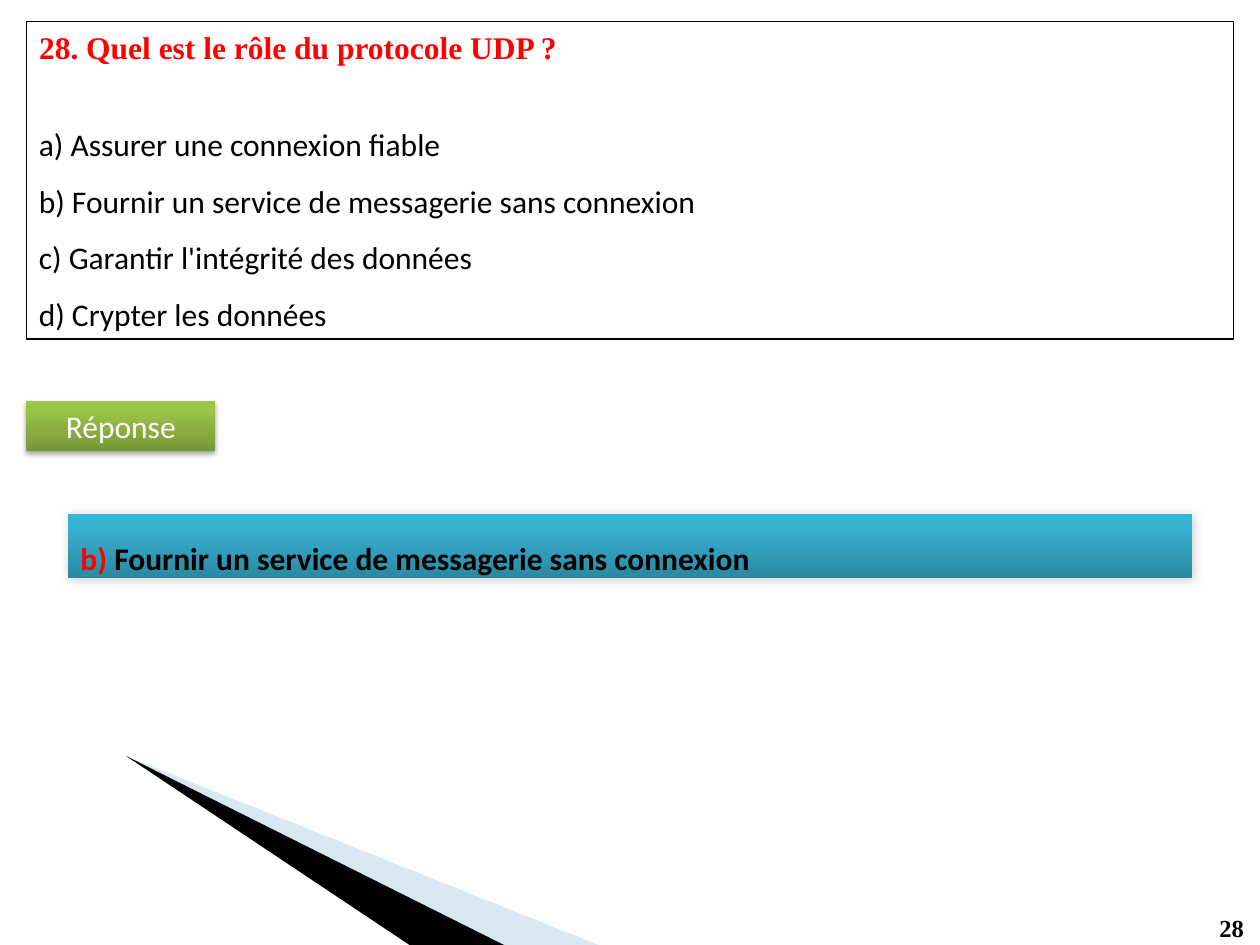
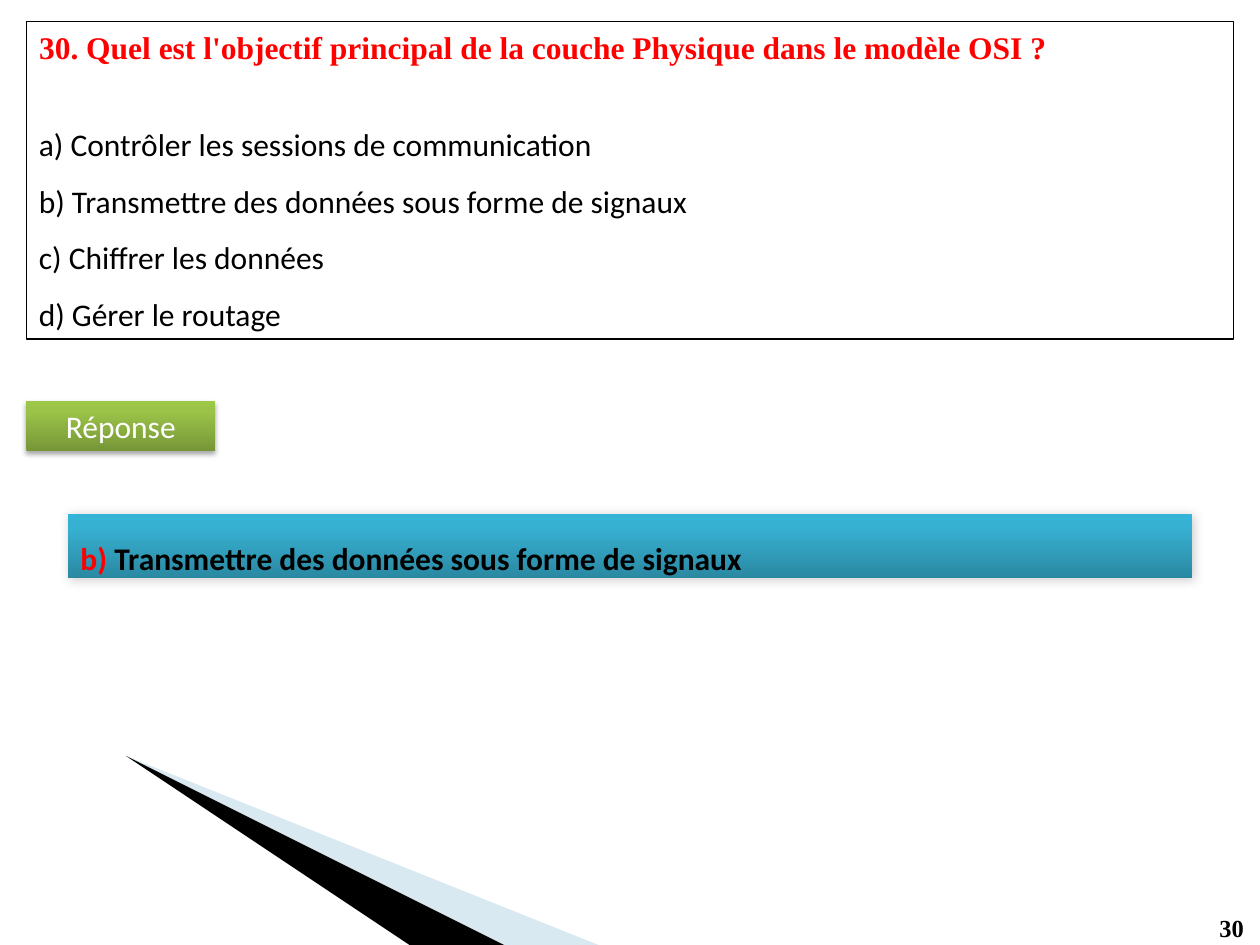
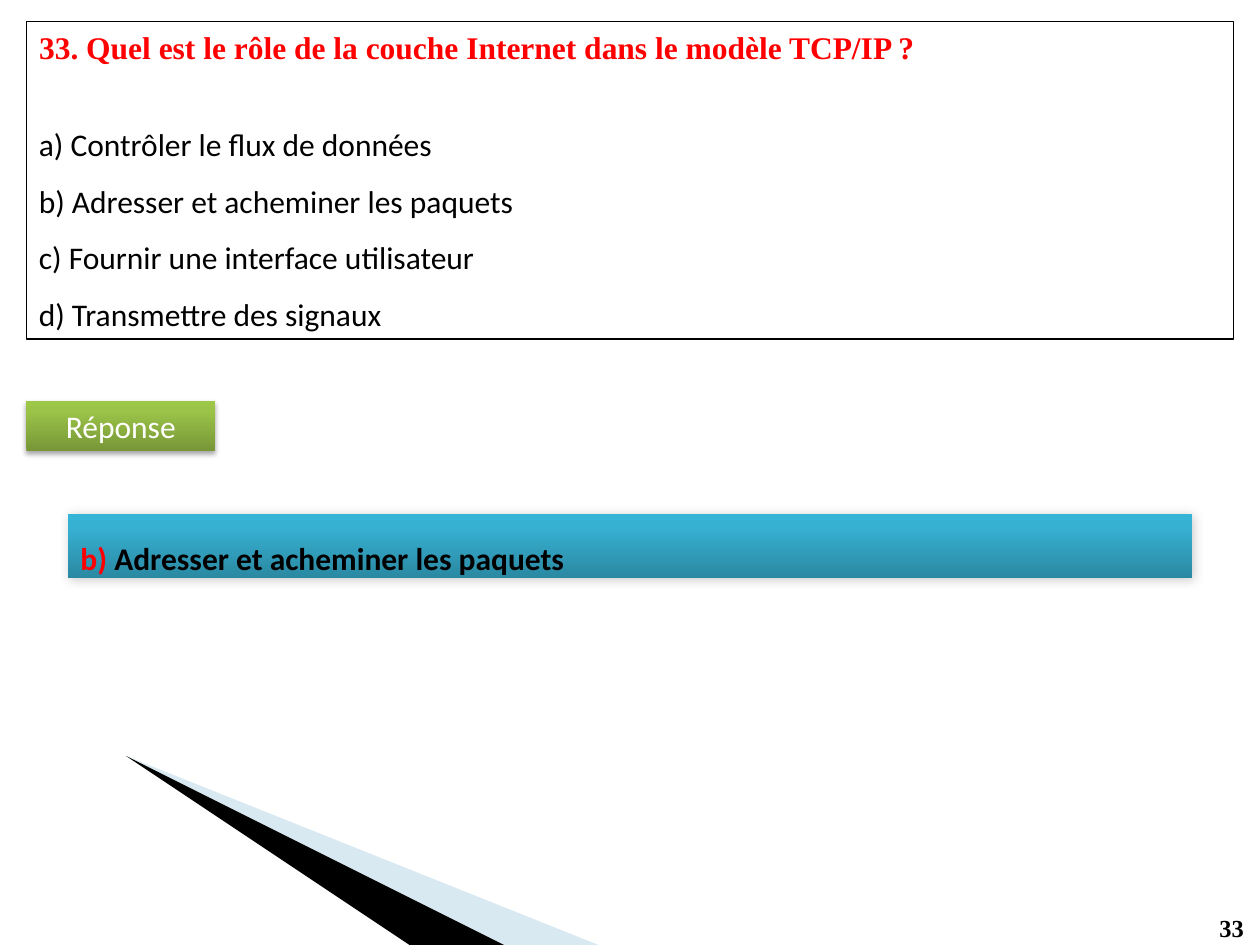
"""Build three quiz slides on network protocols, each with its answer."""
from pptx import Presentation
from pptx.dml.color import RGBColor
from pptx.enum.shapes import MSO_SHAPE as Shape
from pptx.enum.text import MSO_ANCHOR as Anchor, MSO_AUTO_SIZE as AutoSize, PP_ALIGN as Align
from pptx.oxml import parse_xml
from pptx.oxml.ns import nsdecls
from pptx.util import Inches, Pt

RED, BLACK, WHITE, PALE_BLUE = "FF0000", "000000", "FFFFFF", "9FCADC"
BODY_FONT, TITLE_FONT = "Calibri", "Times New Roman"
GREEN_STOPS = [(0, "779737"), (80, "9BC348"), (100, "9DC746")]
BLUE_STOPS = [(0, "2A88A2"), (80, "37B1D2"), (100, "34B4D6")]
LETTERS = "abcd"
CORRECT = 1
QUESTIONS = [
    (28, "Quel est le rôle du protocole UDP ?",
     ["Assurer une connexion fiable", "Fournir un service de messagerie sans connexion",
      "Garantir l'intégrité des données", "Crypter les données"]),
    (30, "Quel est l'objectif principal de la couche Physique dans le modèle OSI ?",
     ["Contrôler les sessions de communication", "Transmettre des données sous forme de signaux",
      "Chiffrer les données", "Gérer le routage"]),
    (33, "Quel est le rôle de la couche Internet dans le modèle TCP/IP ?",
     ["Contrôler le flux de données", "Adresser et acheminer les paquets",
      "Fournir une interface utilisateur", "Transmettre des signaux"]),
]


def add_run(paragraph, text, color, font=BODY_FONT, size=18, bold=False):
    run = paragraph.add_run()
    run.text = text
    run.font.name, run.font.size, run.font.bold = font, Pt(size), bold
    run.font.color.rgb = RGBColor.from_string(color)


def add_band(slide, box, stops, opacity, blur, distance, angle):
    band = slide.shapes.add_shape(Shape.RECTANGLE, *map(Inches, box))
    band.line.fill.background()
    band.shadow.inherit = False
    properties = band.element.spPr
    stop_xml = "".join(f'<a:gs pos="{share * 1000}"><a:srgbClr val="{color}"/></a:gs>'
                       for share, color in stops)
    properties.insert(2, parse_xml(
        f'<a:gradFill {nsdecls("a")} rotWithShape="1"><a:gsLst>{stop_xml}</a:gsLst>'
        '<a:lin ang="16200000" scaled="0"/></a:gradFill>'))
    properties[-1].append(parse_xml(
        f'<a:outerShdw {nsdecls("a")} blurRad="{Pt(blur)}" dist="{Pt(distance)}" '
        f'dir="{angle * 60000}" rotWithShape="0"><a:srgbClr val="{BLACK}">'
        f'<a:alpha val="{opacity * 1000}"/></a:srgbClr></a:outerShdw>'))
    band.text_frame.vertical_anchor = Anchor.TOP
    return band.text_frame.paragraphs[0]


presentation = Presentation()
presentation.slide_width, presentation.slide_height = Inches(10), Inches(7.5)
layout = presentation.slide_layouts[5]
margin, frame_top, frame_width = 0.21, 0.17, 9.58

for number, question, options in QUESTIONS:
    slide = presentation.slides.add_slide(layout)

    frame = slide.shapes.add_shape(
        Shape.RECTANGLE, *map(Inches, (margin, frame_top, frame_width, 2.52)))
    frame.shadow.inherit = False
    frame.fill.background()
    frame.line.color.rgb = RGBColor.from_string(BLACK)
    frame.line.width = Pt(0.75)
    frame.text_frame.vertical_anchor = Anchor.BOTTOM
    for index, option in enumerate(options):
        paragraph = (frame.text_frame.add_paragraph() if index
                     else frame.text_frame.paragraphs[0])
        paragraph.alignment, paragraph.line_spacing = Align.LEFT, 1.5
        add_run(paragraph, f"{LETTERS[index]}) {option}", BLACK)

    title = slide.shapes.title
    title.left, title.top, title.width, title.height = map(
        Inches, (margin, frame_top, frame_width, 0.4))
    title.text_frame.auto_size = AutoSize.NONE
    title.text_frame.vertical_anchor = Anchor.TOP
    paragraph = title.text_frame.paragraphs[0]
    paragraph.alignment = Align.LEFT
    add_run(paragraph, f"{number}. {question}", RED, TITLE_FONT, bold=True)

    paragraph = add_band(slide, (margin, 3.18, 1.5, 0.4), GREEN_STOPS, 35, 3.1, 1.8, 90)
    paragraph.alignment = Align.CENTER
    add_run(paragraph, "Réponse", WHITE)

    paragraph = add_band(slide, (0.54, 4.08, 8.92, 0.51), BLUE_STOPS, 20, 6, 1, 45)
    paragraph.alignment, paragraph.line_spacing = Align.LEFT, 1.5
    add_run(paragraph, f"{LETTERS[CORRECT]}) ", RED, bold=True)
    add_run(paragraph, options[CORRECT], BLACK, bold=True)

    page_number = slide.shapes.add_textbox(*map(Inches, (9.58, 7.2, 0.4, 0.34)))
    add_run(page_number.text_frame.paragraphs[0], str(number), BLACK, TITLE_FONT, 14, True)

wedges = [(PALE_BLUE, 40, [(0.55, 6.5), (4.51, 7.5), (5.89, 7.5)]),
          (BLACK, 100, [(0.53, 6.5), (3.67, 7.5), (4.53, 7.5)])]
for position, (color, opacity, corners) in enumerate(wedges, start=2):
    builder = slide.shapes.build_freeform(*corners[0], scale=Inches(1))
    builder.add_line_segments(corners[1:], close=True)
    wedge = builder.convert_to_shape()
    wedge.shadow.inherit = False
    wedge.line.fill.background()
    wedge.fill.solid()
    wedge.fill.fore_color.rgb = RGBColor.from_string(color)
    wedge.element.spPr.find(".//{*}srgbClr").append(
        parse_xml(f'<a:alpha {nsdecls("a")} val="{opacity * 1000}"/>'))
    wedge.name = f"Wedge {position - 1}"
    wedge.element.nvSpPr.cNvPr.set("id", str(100 + position))
    layout.shapes.element.insert(position, wedge.element)

presentation.save("out.pptx")
